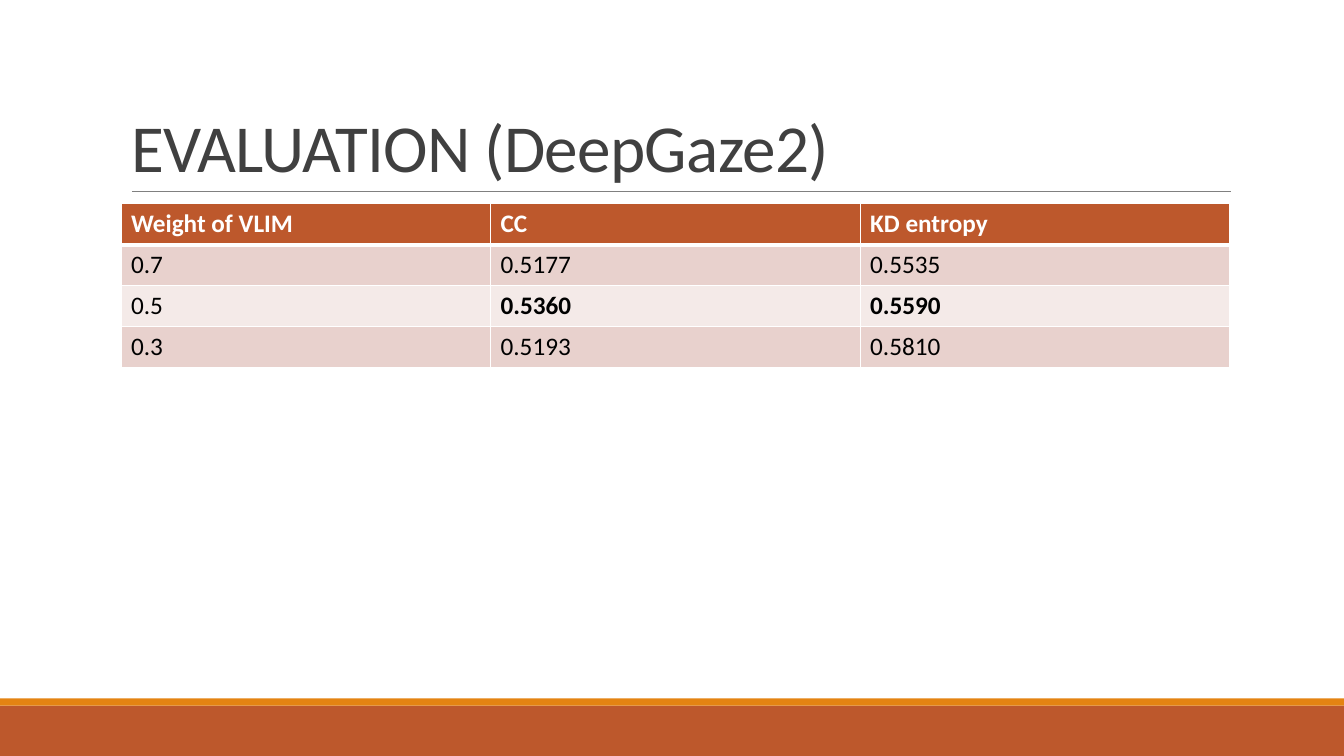
from dataclasses import dataclass
from typing import Any

from lxml import etree
from pptx import Presentation
from pptx import util as u
from pptx.dml.color import RGBColor
from pptx.enum import shapes, text
from pptx.oxml import ns

RUST = RGBColor(0xBD, 0x58, 0x2C)
ORANGE = RGBColor(0xE4, 0x83, 0x12)
GREY = RGBColor(0x80, 0x80, 0x80)
CHARCOAL = RGBColor(0x40, 0x40, 0x40)
WHITE = RGBColor(0xFF, 0xFF, 0xFF)
BLACK = RGBColor(0, 0, 0)
BANDS = (RGBColor(0xE8, 0xD1, 0xCD), RGBColor(0xF4, 0xEA, 0xE8))

SLIDE_W, SLIDE_H = 960, 540
LEFT, CONTENT_W = 86.4, 792
ROW_H = 29.2


@dataclass(frozen=True)
class Bar:
    top: float
    height: float
    color: RGBColor


@dataclass(frozen=True)
class Row:
    values: tuple[str, ...]
    bold: tuple[bool, ...] = (False, False, False)


BARS = (Bar(504, 36, RUST), Bar(498.9, 5.1, ORANGE))
ROWS = (
    Row(("Weight of VLIM", "CC", "KD entropy"), (True, True, True)),
    Row(("0.7", "0.5177", "0.5535")),
    Row(("0.5", "0.5360", "0.5590"), (False, True, True)),
    Row(("0.3", "0.5193", "0.5810")),
)


def apply(target: Any, values: dict[str, Any]) -> None:
    for name, value in values.items():
        setattr(target, name, value)


def place(sp: Any, left: float, top: float, width: float, height: float) -> None:
    apply(sp, {"left": u.Pt(left), "top": u.Pt(top),
               "width": u.Pt(width), "height": u.Pt(height)})


def write(p: Any, words: str, size: float, color: RGBColor, bold: bool = False) -> Any:
    r = p.add_run()
    r.text = words
    apply(r.font, {"name": "Calibri", "size": u.Pt(size), "bold": bold})
    r.font.color.rgb = color
    return r


def add_bar(s: Any, bar: Bar) -> None:
    sp = s.shapes.add_shape(shapes.MSO_SHAPE.RECTANGLE, 0, u.Pt(bar.top),
                            u.Pt(SLIDE_W), u.Pt(bar.height))
    sp.shadow.inherit = False
    sp.fill.solid()
    sp.fill.fore_color.rgb = bar.color
    sp.line.fill.background()


def add_rule(s: Any) -> None:
    sp = s.shapes.add_connector(shapes.MSO_CONNECTOR.STRAIGHT, u.Pt(94.3),
                                u.Pt(136.8), u.Pt(879), u.Pt(136.8))
    sp.line.color.rgb = GREY
    sp.line.width = u.Pt(0.5)
    etree.SubElement(sp._element.spPr, ns.qn("a:effectLst"))


def add_title(s: Any) -> None:
    sp = s.shapes.title
    place(sp, LEFT, 22.3, CONTENT_W, 114.5)
    tf = sp.text_frame
    apply(tf, {"word_wrap": True, "auto_size": text.MSO_AUTO_SIZE.NONE,
               "vertical_anchor": text.MSO_ANCHOR.BOTTOM})
    p = tf.paragraphs[0]
    apply(p, {"alignment": text.PP_ALIGN.LEFT, "line_spacing": 0.85})
    r = write(p, "EVALUATION (DeepGaze2)", 48, CHARCOAL)
    r.font._element.set("spc", "-50")


def add_borders(cell: Any, widths: dict[str, float]) -> None:
    tc_pr = cell._tc.get_or_add_tcPr()
    for side, width in widths.items():
        ln = etree.SubElement(tc_pr, ns.qn(f"a:ln{side}"), w=str(u.Pt(width)))
        fill = etree.SubElement(ln, ns.qn("a:solidFill"))
        etree.SubElement(fill, ns.qn("a:srgbClr"), val=str(WHITE))


def add_scores(s: Any) -> None:
    columns = len(ROWS[0].values)
    table = s.shapes.add_table(len(ROWS), columns, u.Pt(LEFT), u.Pt(145.6),
                               u.Pt(CONTENT_W), u.Pt(ROW_H * len(ROWS))).table
    for i, row in enumerate(ROWS):
        header = i == 0
        for j, (value, bold) in enumerate(zip(row.values, row.bold)):
            cell = table.cell(i, j)
            add_borders(cell, {"L": 1, "R": 1, "T": 3 if i == 1 else 1,
                               "B": 3 if header else 1})
            cell.fill.solid()
            cell.fill.fore_color.rgb = RUST if header else BANDS[(i - 1) % 2]
            write(cell.text_frame.paragraphs[0], value, 18,
                  WHITE if header else BLACK, bold)


def main() -> None:
    prs = Presentation()
    apply(prs, {"slide_width": u.Pt(SLIDE_W), "slide_height": u.Pt(SLIDE_H)})
    s = prs.slides.add_slide(prs.slide_layouts[5])
    for bar in BARS:
        add_bar(s, bar)
    add_rule(s)
    add_title(s)
    add_scores(s)
    prs.save("out.pptx")


if __name__ == "__main__":
    main()
